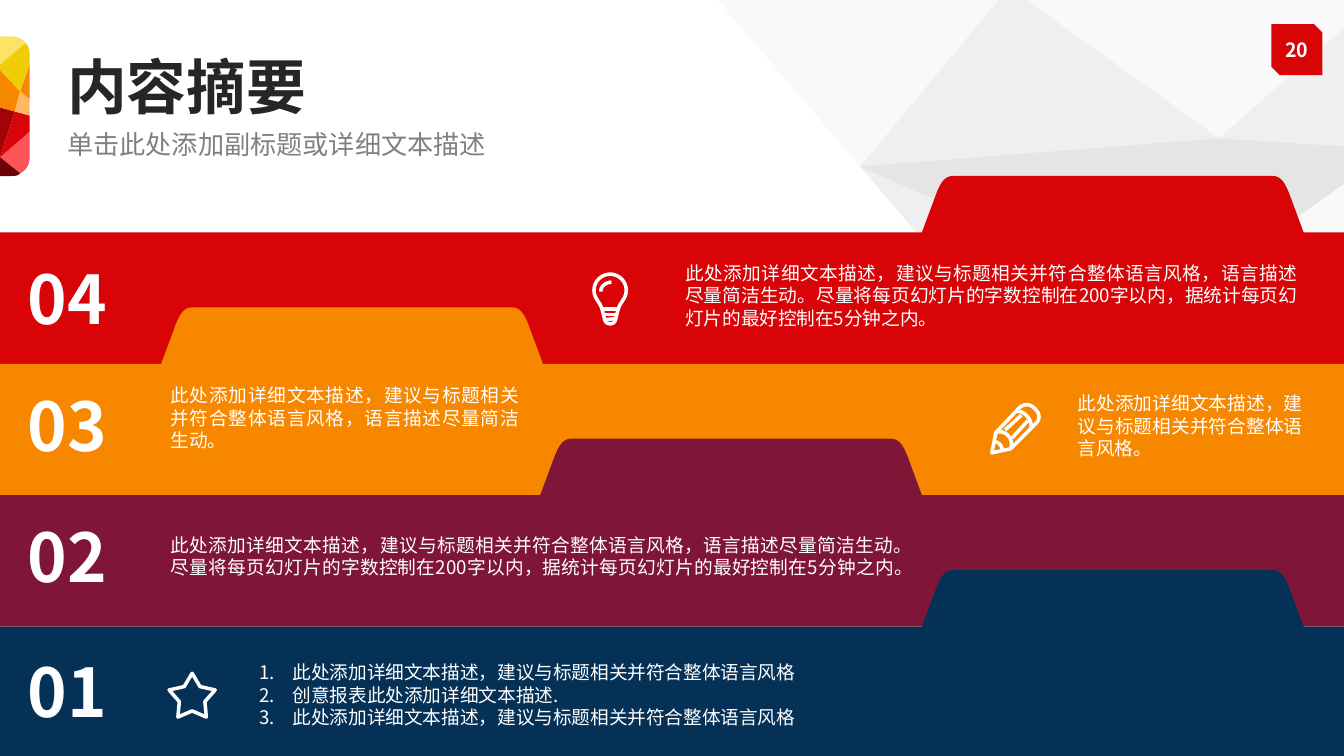
from dataclasses import dataclass
from math import cos, pi, sin

from lxml import etree
from pptx import Presentation
from pptx import util as u
from pptx.dml.color import RGBColor
from pptx.enum import shapes, text
from pptx.oxml import ns

Inches, Pt = u.Inches, u.Pt
TOP, MIDDLE = text.MSO_ANCHOR.TOP, text.MSO_ANCHOR.MIDDLE
LEFT, CENTER, JUSTIFY = text.PP_ALIGN.LEFT, text.PP_ALIGN.CENTER, text.PP_ALIGN.JUSTIFY


@dataclass(frozen=True)
class Theme:
    font: str = "Noto Sans CJK SC"
    white: str = "FFFFFF"
    ink: str = "262626"
    gray: str = "808080"
    red: str = "D80407"
    orange: str = "F88700"
    plum: str = "801637"
    navy: str = "063157"
    title: float = 32
    subtitle: float = 14
    number: float = 36
    body: float = 10
    page: float = 10.5
    stroke: float = 1.9


T = Theme()


# Drawing helpers
def sub(parent, tag, **attrs):
    return etree.SubElement(parent, ns.qn(tag), attrs)


def paint(sp, color):
    sp.shadow.inherit = False
    sp.fill.solid()
    sp.fill.fore_color.rgb = RGBColor.from_string(color)
    sp.line.fill.background()


def flatten(steps, n=10):
    """Turn points (x, y) and curves (x1, y1, x2, y2, x, y) into points."""
    pts = []
    for step in steps:
        if len(step) == 2:
            pts.append(step)
            continue
        (x0, y0), (x1, y1, x2, y2, x3, y3) = pts[-1], step
        for i in range(1, n + 1):
            t = i / n
            a, b, c, d = (1 - t) ** 3, 3 * t * (1 - t) ** 2, 3 * t * t * (1 - t), t ** 3
            pts.append((a * x0 + b * x1 + c * x2 + d * x3, a * y0 + b * y1 + c * y2 + d * y3))
    return pts


def outline(s, x, y, contours, close):
    builder = None
    for steps in contours:
        pts = [(Inches(x + px), Inches(y + py)) for px, py in flatten(steps)]
        if builder is None:
            builder = s.shapes.build_freeform(*pts[0])
        else:
            builder.move_to(*pts[0])
        builder.add_line_segments(pts[1:], close=close)
    return builder.convert_to_shape()


def polygon(s, x, y, steps, color, alpha=None):
    sp = outline(s, x, y, [steps], True)
    paint(sp, color)
    if alpha:
        clr = sp.fill._xPr.find(".//" + ns.qn("a:srgbClr"))
        sub(clr, "a:alpha", val=str(alpha * 1000))


def icon(s, x, y, contours):
    sp = outline(s, x, y, contours, False)
    sp.shadow.inherit = False
    sp.fill.background()
    sp.line.color.rgb = RGBColor.from_string(T.white)
    sp.line.width = Pt(T.stroke)
    sub(sp.line._get_or_add_ln(), "a:round")


def label(s, x, y, w, h, lines, size, color=T.white, bold=False, align=LEFT,
          anchor=TOP, spacing=None, margin=None, wrap=True, numbered=False):
    tf = s.shapes.add_textbox(Inches(x), Inches(y), Inches(w), Inches(h)).text_frame
    tf.word_wrap, tf.vertical_anchor = wrap, anchor
    if margin is not None:
        tf.margin_left = tf.margin_right = tf.margin_top = tf.margin_bottom = Inches(margin)
    for i, line in enumerate(lines):
        p = tf.paragraphs[0] if i == 0 else tf.add_paragraph()
        p.text, p.alignment, p.line_spacing = line, align, spacing
        if numbered:
            pPr = p._p.get_or_add_pPr()
            pPr.set("marL", str(Inches(0.25)))
            pPr.set("indent", str(-Inches(0.25)))
            sub(sub(pPr, "a:buClr"), "a:srgbClr", val=color)
            sub(pPr, "a:buAutoNum", type="arabicPeriod")
        p.font.name, p.font.size, p.font.bold = T.font, Pt(size), bold
        p.font.color.rgb = RGBColor.from_string(color)
        sub(p._p.pPr.find(ns.qn("a:defRPr")), "a:ea", typeface=T.font)


def body(s, x, y, w, h, *lines, numbered=False):
    label(s, x, y, w, h, lines, T.body, align=JUSTIFY, spacing=Pt(12), numbered=numbered)


# Regions
def backdrop(s, x, y):
    light, mid, dark = "F2F2F2", "D9D9D9", "BFBFBF"
    peak, left, low = (3.73, 1.03), (1.06, 1.24), (3.38, 2.27)
    top_a, top_b, right_a, right_b, right_c = (2.09, 0), (2.3, 0), (4.66, 0.21), (4.66, 1.09), (4.66, 1.37)
    facets = [
        (light, [peak, top_b, (4.66, 0), right_a]),
        (mid, [peak, right_a, right_b]),
        (mid, [top_a, top_b, peak, left]),
        (dark, [left, peak, right_b, right_c, low]),
        (mid, [left, low, (3.16, 3.69)]),
        (light, [low, right_c, (4.66, 2.38)]),
        (light, [top_a, left, (0, 0)]),
    ]
    for color, pts in facets:
        polygon(s, x, y, pts, color, alpha=40)


def gem(s, x, y):
    a, b, c, d = (0.11, 0.56), (0, 0.9), (0.15, 0.41), (0.22, 0.21)
    facets = [
        ("FC5457", [(0.22, 0.71), b, (0.15, 1.02), (0.19, 1, 0.22, 0.96, 0.22, 0.91)]),
        ("A20305", [a, (0, 0.53), b]),
        (T.red, [a, b, (0.22, 0.71), (0.22, 0.59)]),
        ("6C0204", [(0.15, 1.02), b, (0, 1.04), (0.08, 1.04), (0.11, 1.04, 0.13, 1.04, 0.15, 1.02)]),
        ("F9E468", [(0, 0.21), (0.19, 0.05), (0.17, 0.02, 0.13, 0, 0.08, 0), (0, 0)]),
        (T.orange, [d, c, (0.22, 0.47)]),
        (T.orange, [a, c, (0, 0.25), (0, 0.53)]),
        ("EFCD09", [(0, 0.25), c, d, (0.22, 0.13), (0.22, 0.1, 0.21, 0.07, 0.19, 0.05), (0, 0.21)]),
        ("FFB762", [(0.22, 0.47), c, a, (0.22, 0.59)]),
    ]
    for color, steps in facets:
        polygon(s, x, y, steps, color)


def header(s, x, y):
    gem(s, x, y)
    label(s, x + 0.5, y + 0.18, 5.25, 0.44, ["内容摘要"], T.title, T.ink, True,
          anchor=MIDDLE, spacing=0.9, margin=0)
    label(s, x + 0.5, y + 0.72, 3.2, 0.19, ["单击此处添加副标题或详细文本描述"], T.subtitle, T.gray,
          anchor=MIDDLE, spacing=0.9, margin=0)


def page_badge(s, x, y, size):
    sp = s.shapes.add_shape(shapes.MSO_SHAPE.SNIP_2_DIAG_RECTANGLE,
                            Inches(x), Inches(y), Inches(size), Inches(size))
    paint(sp, T.red)
    label(s, x, y + 0.05, size, 0.28, ["20"], T.page, bold=True, align=CENTER, anchor=MIDDLE, wrap=False)


def folder(s, y, w, h, tab, color):
    """A full-width band with a rounded tab rising above its top edge."""
    polygon(s, 0, y, [
        (0, h), (w, h), (w, 0), (tab + 2.84, 0), (tab + 2.74, -0.27),
        (tab + 2.71, -0.35, tab + 2.68, -0.42, tab + 2.61, -0.42), (tab + 0.23, -0.42),
        (tab + 0.16, -0.42, tab + 0.13, -0.35, tab + 0.1, -0.27), (tab, 0), (0, 0)], color)


# Icons
def star(s, x, y):
    pts = []
    for i in range(11):
        r, angle = (0.1 if i % 2 else 0.18), i * pi / 5
        pts.append((0.19 + r * sin(angle), 0.2 - r * cos(angle)))
    icon(s, x, y, [pts])


def bulb(s, x, y):
    icon(s, x, y, [
        [(0.07, 0.27), (0.05, 0.21, 0.01, 0.19, 0.01, 0.13), (0.01, 0.06, 0.07, 0.01, 0.13, 0.01),
         (0.19, 0.01, 0.25, 0.06, 0.25, 0.13), (0.25, 0.19, 0.21, 0.21, 0.19, 0.27),
         (0.17, 0.35), (0.16, 0.39, 0.1, 0.39, 0.09, 0.35), (0.07, 0.27)],
        [(0.07, 0.27), (0.19, 0.27)], [(0.08, 0.31), (0.18, 0.31)], [(0.09, 0.35), (0.17, 0.34)],
        [(0.06, 0.14), (0.06, 0.1, 0.1, 0.07, 0.14, 0.07)]])


def pencil(s, x, y):
    icon(s, x, y, [
        [(0.02, 0.37), (0.05, 0.22), (0.23, 0.03), (0.27, 0, 0.31, 0.01, 0.34, 0.04),
         (0.38, 0.08, 0.38, 0.12, 0.35, 0.15), (0.16, 0.34), (0.02, 0.37)],
        [(0.12, 0.2), (0.24, 0.09)], [(0.17, 0.26), (0.29, 0.13)],
        [(0.2, 0.06), (0.25, 0.05, 0.33, 0.12, 0.31, 0.19)],
        [(0.05, 0.22), (0.11, 0.19, 0.19, 0.26, 0.16, 0.34)],
        [(0.03, 0.29), (0.07, 0.28, 0.1, 0.32, 0.1, 0.36)]])


def main():
    prs = Presentation()
    prs.slide_width, prs.slide_height = Inches(10), Inches(10 * 9 / 16)
    s = prs.slides.add_slide(prs.slide_layouts[6])
    backdrop(s, 5.34, 0)
    page_badge(s, 9.46, 0.18, 0.38)
    header(s, 0, 0.27)

    # Folder bands, back to front
    top, pitch = 1.73, (5.64 - 1.73) / 4
    bands = [("04", T.red, 6.86, 1.87), ("03", T.orange, 1.2, 2.81),
             ("02", T.plum, 4.02, 3.79), ("01", T.navy, 6.86, 4.79)]
    for i, (number, color, tab, number_y) in enumerate(bands):
        folder(s, top + i * pitch, 10, pitch, tab, color)
    for number, color, tab, number_y in bands:
        label(s, 0.11, number_y, 1.06, 0.71, [number], T.number, bold=True, spacing=Pt(43))

    # Band contents
    short = "此处添加详细文本描述，建议与标题相关并符合整体语言风格"
    medium = short + "，语言描述尽量简洁生动。"
    full = medium + "尽量将每页幻灯片的字数控制在200字以内，据统计每页幻灯片的最好控制在5分钟之内。"
    body(s, 5, 1.9, 4.75, 0.61, full)
    bulb(s, 4.41, 2.03)
    body(s, 1.17, 2.81, 2.79, 0.61, medium)
    body(s, 7.92, 2.87, 1.87, 0.61, short + "。")
    pencil(s, 7.36, 3)
    body(s, 1.17, 3.92, 5.58, 0.44, full)
    body(s, 1.83, 4.87, 5.58, 0.61, short, "创意报表此处添加详细文本描述.", short, numbered=True)
    star(s, 1.24, 4.99)

    prs.save("out.pptx")


if __name__ == "__main__":
    main()
